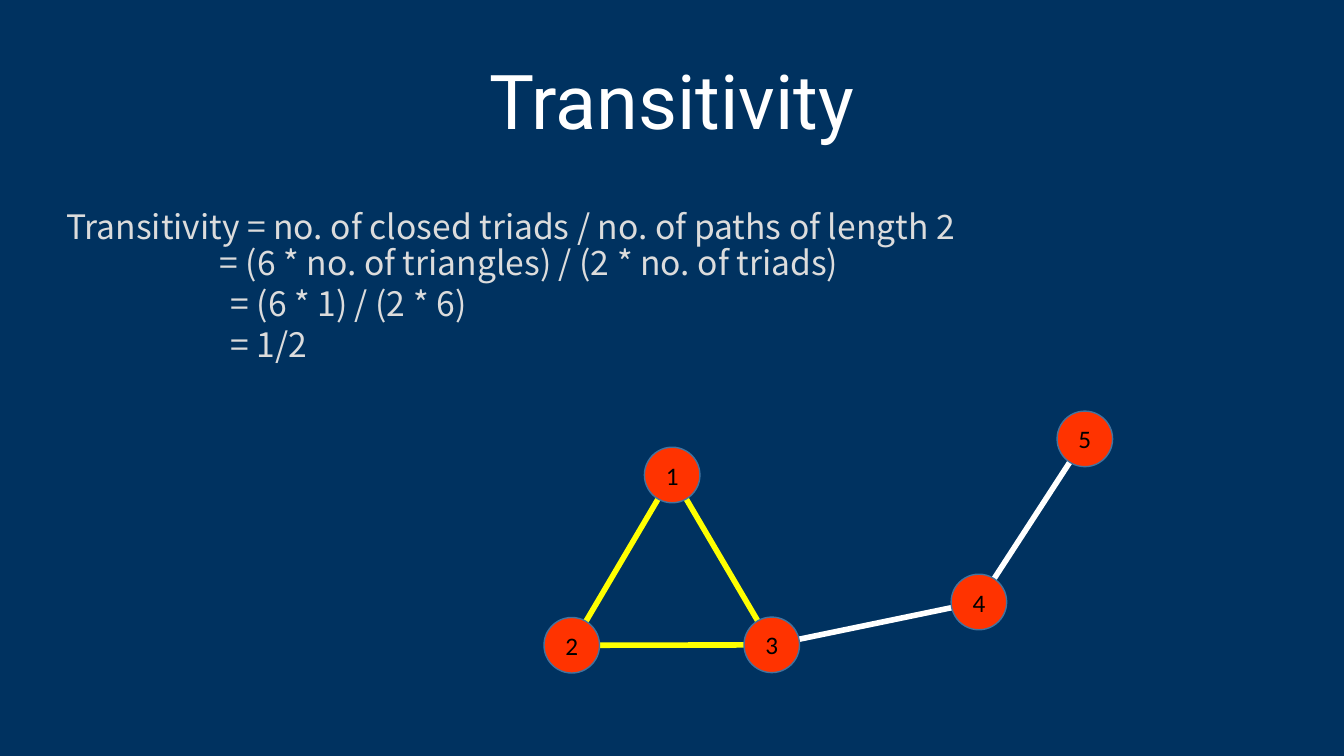
from lxml import etree
from pptx import Presentation
from pptx.dml.color import RGBColor
from pptx.enum.shapes import MSO_CONNECTOR as Connector, MSO_SHAPE as Shape
from pptx.enum.text import MSO_ANCHOR as Anchor, PP_ALIGN as Align
from pptx.oxml.ns import qn
from pptx.util import Cm, Pt

NAVY = RGBColor(0x00, 0x32, 0x60)
WHITE = RGBColor(0xFF, 0xFF, 0xFF)
LIGHT_GREY = RGBColor(0xDC, 0xDC, 0xDC)
YELLOW = RGBColor(0xFF, 0xFF, 0x00)
RED = RGBColor(0xFF, 0x33, 0x00)
STEEL_BLUE = RGBColor(0x43, 0x73, 0x9E)
BLACK = RGBColor(0x00, 0x00, 0x00)

NODE_CENTRES = {
    1: (16.94, 11.97),
    2: (14.41, 16.26),
    3: (19.45, 16.25),
    4: (24.67, 15.17),
    5: (27.34, 11.06),
}
EDGES = [(1, 2, YELLOW), (1, 3, YELLOW), (2, 3, YELLOW), (3, 4, WHITE), (4, 5, WHITE)]


def write(frame, *lines, font="Noto Sans CJK JP", size=24, color=LIGHT_GREY,
          align=Align.LEFT, anchor=Anchor.TOP, spacing=1.0, indents=()):
    """Fill a text frame, one paragraph a line; indents are left margins in cm."""
    frame.word_wrap = True
    frame.vertical_anchor = anchor
    for index, line in enumerate(lines):
        paragraph = frame.paragraphs[0] if index == 0 else frame.add_paragraph()
        paragraph.alignment = align
        paragraph.line_spacing = spacing
        if index < len(indents):
            properties = paragraph._p.get_or_add_pPr()
            properties.set("marL", str(Cm(indents[index])))
            properties.set("indent", "0")
        run = paragraph.add_run()
        run.text = line
        run.font.name = font
        run.font.size = Pt(size)
        run.font.color.rgb = color


class GraphSlide:
    node_size = 1.4
    edge_width = 4

    def __init__(self, presentation):
        self.slide = presentation.slides.add_slide(presentation.slide_layouts[6])
        self.shapes = self.slide.shapes
        background = self.slide.background.fill
        background.solid()
        background.fore_color.rgb = NAVY

    def text(self, left, top, width, height, *lines, **style):
        box = self.shapes.add_textbox(Cm(left), Cm(top), Cm(width), Cm(height))
        write(box.text_frame, *lines, **style)

    def edge(self, start, end, color):
        ends = [Cm(value) for value in (*start, *end)]
        edge = self.shapes.add_connector(Connector.STRAIGHT, *ends)
        edge.line.color.rgb = color
        edge.line.width = Pt(self.edge_width)
        etree.SubElement(edge._element.spPr, qn("a:effectLst"))

    def node(self, number, centre):
        left, top = (Cm(value - self.node_size / 2) for value in centre)
        node = self.shapes.add_shape(
            Shape.OVAL, left, top, Cm(self.node_size), Cm(self.node_size))
        node.shadow.inherit = False
        node.fill.solid()
        node.fill.fore_color.rgb = RED
        node.line.color.rgb = STEEL_BLUE
        node.line.width = Pt(1)
        write(node.text_frame, str(number), font="Calibri", size=18, color=BLACK,
              align=Align.CENTER, anchor=Anchor.MIDDLE)


def main():
    presentation = Presentation()
    presentation.slide_width = Cm(33.87)
    presentation.slide_height = Cm(19.05)
    slide = GraphSlide(presentation)

    slide.text(4.23, 1.42, 25.4, 2.39, "Transitivity", font="Roboto", size=54,
               color=WHITE, align=Align.CENTER, anchor=Anchor.BOTTOM, spacing=0.9)
    slide.text(1.42, 5.18, 31.24, 2.2,
               "Transitivity = no. of closed triads / no. of paths of length 2",
               "= (6 * no. of triangles) / (2 * no. of triads)",
               align=Align.JUSTIFY, spacing=0.9, indents=(0, 3.87))
    slide.text(5.56, 7.01, 9.25, 2.31, "= (6 * 1) / (2 * 6)", "= 1/2")

    for start, end, color in EDGES:
        slide.edge(NODE_CENTRES[start], NODE_CENTRES[end], color)
    for number, centre in NODE_CENTRES.items():
        slide.node(number, centre)

    presentation.save("out.pptx")


if __name__ == "__main__":
    main()
